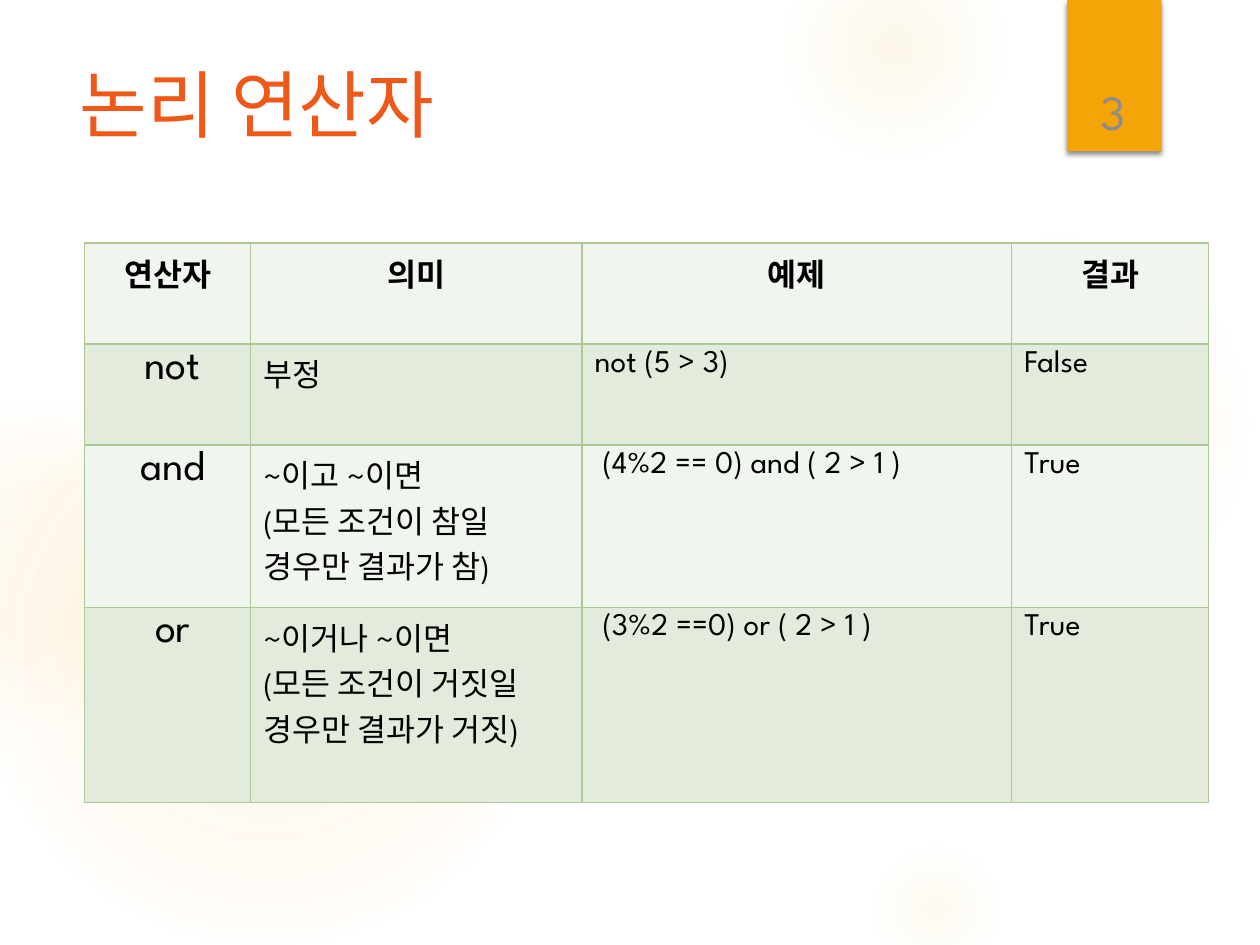
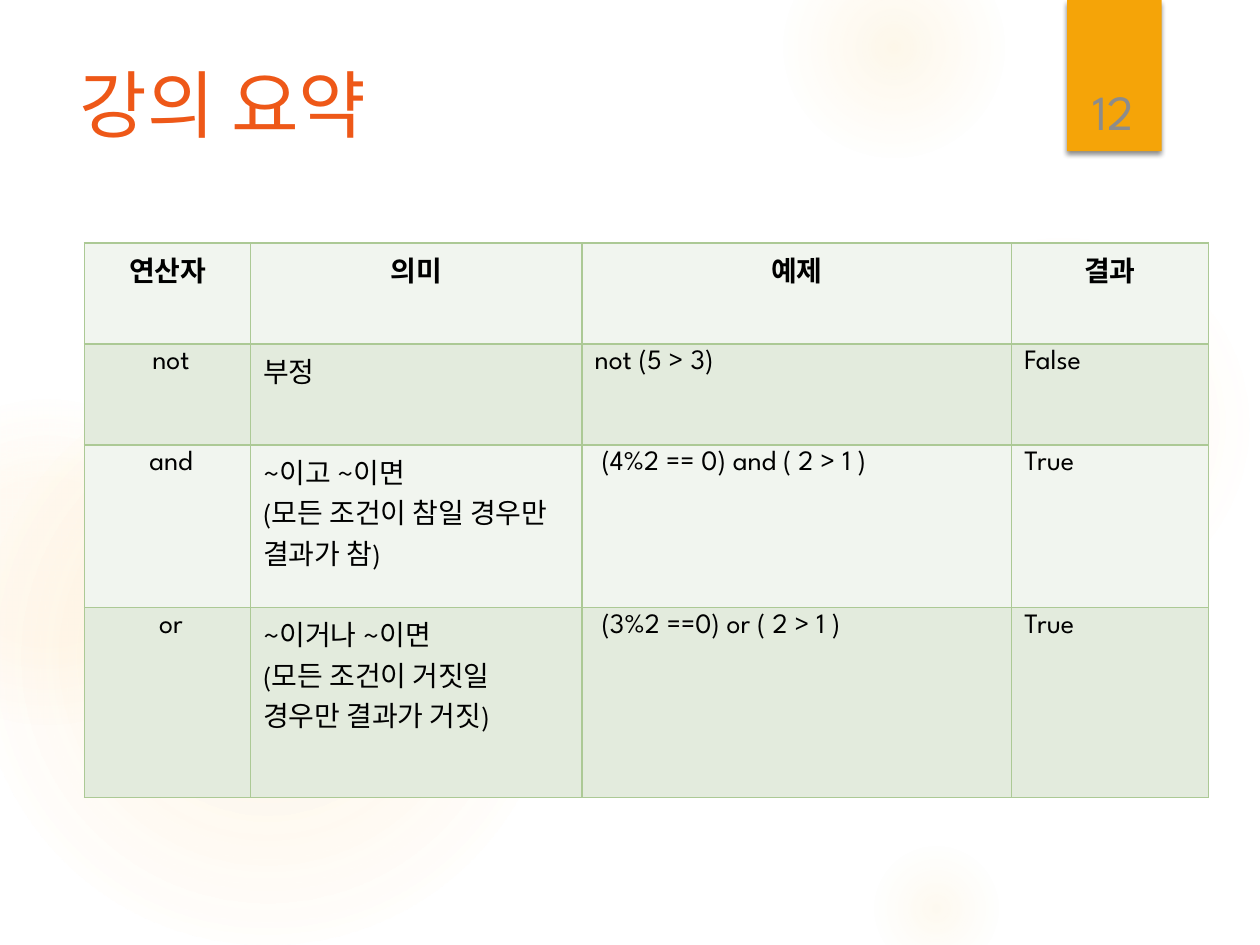
"""Build two slides that tabulate the logical operators."""
from dataclasses import dataclass

import lxml.etree
import pptx
import pptx.dml.color
import pptx.enum.shapes
import pptx.enum.text
import pptx.oxml
import pptx.oxml.ns
import pptx.util

PX = 9144
LATIN, KOREAN = "League Spartan", "Noto Sans CJK KR"
TITLE, NUMBER, TEXT = "EE5818", "8C8C8C", "000000"
BAND, GLOW, BORDER = "F5A408", "FAC96A", "ACC995"
ROW_FILLS = ("F1F5EF", "E3EBDD")
COLUMNS = (132, 263, 341, 156)
ROWS = (80, 80, 129)
CENTER = pptx.enum.text.PP_ALIGN.CENTER
LEFT = pptx.enum.text.PP_ALIGN.LEFT
CELLS = (
    ("연산자", "의미", "예제", "결과"),
    (" not", "부정", "not (5 > 3)", "False"),
    (" and", "~이고 ~이면\n(모든 조건이 참일 경우만 결과가 참)",
     " (4%2 == 0) and ( 2 > 1 )", "True"),
    (" or", "~이거나 ~이면\n(모든 조건이 거짓일 경우만 결과가 거짓)",
     " (3%2 ==0) or ( 2 > 1 )", "True"),
)


@dataclass(frozen=True)
class Glow:
    left: int
    top: int
    size: int
    stops: tuple[tuple[int, int], ...]


@dataclass(frozen=True)
class OperatorSlide:
    title: str
    number: str
    text_size: int
    operator_size: int
    last_row: int


GLOWS = (
    Glow(689, 183, 308, ((0, 7), (36, 6), (69, 0))),
    Glow(622, -50, 175, ((0, 14), (36, 7), (73, 0))),
    Glow(689, 667, 108, ((0, 10), (31, 5), (66, 0))),
    Glow(-17, 292, 458, ((0, 11), (36, 10), (75, 0))),
    Glow(-92, 317, 258, ((0, 8), (36, 8), (72, 0))),
)
SLIDES = (
    OperatorSlide("논리 연산자", "3", 18, 24, 155),
    OperatorSlide("강의 요약", "12", 16, 16, 151),
)


def px(*lengths: int) -> list[pptx.util.Emu]:
    return [pptx.util.Emu(n * PX) for n in lengths]


def rgb(color: str) -> pptx.dml.color.RGBColor:
    return pptx.dml.color.RGBColor.from_string(color)


def xml(body: str) -> lxml.etree.ElementBase:
    tag, rest = body[1:].split(" ", 1)
    return pptx.oxml.parse_xml(f"<{tag} {pptx.oxml.ns.nsdecls('a')} {rest}")


def add_run(p, text: str, size: int, color: str, font: str = LATIN, bold: bool = False) -> None:
    r = p.add_run()
    r.text = text
    r.font.size = pptx.util.Pt(size)
    r.font.bold = bold
    r.font.color.rgb = rgb(color)
    r.font.name = font
    r.font._element.append(xml(f'<a:ea typeface="{KOREAN}"/>'))


def add_plain_shape(s, kind: str, left: int, top: int, width: int, height: int):
    shape_type = pptx.enum.shapes.MSO_SHAPE[kind]
    sp = s.shapes.add_shape(shape_type, *px(left, top, width, height))
    sp.line.fill.background()
    sp.shadow.inherit = False
    return sp


def add_glow(s, glow: Glow) -> None:
    sp = add_plain_shape(s, "OVAL", glow.left, glow.top, glow.size, glow.size)
    stops = "".join(
        f'<a:gs pos="{pos * 1000}"><a:srgbClr val="{GLOW}">'
        f'<a:alpha val="{alpha * 1000}"/></a:srgbClr></a:gs>'
        for pos, alpha in glow.stops)
    gradient = xml(
        f'<a:gradFill rotWithShape="1"><a:gsLst>{stops}</a:gsLst><a:path path="circle">'
        '<a:fillToRect l="50000" t="50000" r="50000" b="50000"/></a:path></a:gradFill>')
    sp._element.spPr.insert(2, gradient)


def add_number_band(s, number: str) -> None:
    sp = add_plain_shape(s, "RECTANGLE", 847, 0, 75, 120)
    sp.fill.solid()
    sp.fill.fore_color.rgb = rgb(BAND)
    effects = sp._element.spPr.find(pptx.oxml.ns.qn("a:effectLst"))
    effects.append(xml(
        '<a:outerShdw blurRad="38100" dist="25400" dir="5400000" rotWithShape="0">'
        '<a:srgbClr val="000000"><a:alpha val="45000"/></a:srgbClr></a:outerShdw>'))
    tf = s.shapes.add_textbox(*px(849, 32, 69, 84)).text_frame
    tf.word_wrap = True
    tf.vertical_anchor = pptx.enum.text.MSO_ANCHOR.BOTTOM
    p = tf.paragraphs[0]
    p.alignment = CENTER
    add_run(p, number, 28, NUMBER)


def set_title(s, text: str) -> None:
    sp = s.shapes.title
    sp.left, sp.top, sp.width, sp.height = px(53, 50, 772, 153)
    tf = sp.text_frame
    tf.word_wrap = True
    tf.auto_size = pptx.enum.text.MSO_AUTO_SIZE.NONE
    tf.vertical_anchor = pptx.enum.text.MSO_ANCHOR.TOP
    p = tf.paragraphs[0]
    p.alignment = LEFT
    p.line_spacing = 0.9
    add_run(p, text, 42, TITLE, KOREAN)


def format_cell(cell, fill: str) -> None:
    tcPr = cell._tc.get_or_add_tcPr()
    for side in "LRTB":
        tcPr.append(xml(
            f'<a:ln{side} w="12700"><a:solidFill><a:srgbClr val="{BORDER}"/>'
            f'</a:solidFill></a:ln{side}>'))
    cell.fill.solid()
    cell.fill.fore_color.rgb = rgb(fill)


def add_operator_table(s, spec: OperatorSlide) -> None:
    heights = (*ROWS, spec.last_row)
    frame = s.shapes.add_table(
        len(heights), len(COLUMNS), *px(67, 193, sum(COLUMNS), sum(heights)))
    table = frame.table
    table.first_row = table.horz_banding = False
    for column, width in zip(table.columns, px(*COLUMNS)):
        column.width = width
    for i, (row, height) in enumerate(zip(table.rows, px(*heights))):
        row.height = height
        for j, (cell, text) in enumerate(zip(row.cells, CELLS[i])):
            format_cell(cell, ROW_FILLS[i % 2])
            header, operator = i == 0, i > 0 and j == 0
            size = spec.operator_size if operator else spec.text_size
            tf = cell.text_frame
            for k, line in enumerate(text.split("\n")):
                p = tf.add_paragraph() if k else tf.paragraphs[0]
                p.alignment = CENTER if header or operator else LEFT
                add_run(p, line, size, TEXT, bold=header)


def build_slide(prs, spec: OperatorSlide) -> None:
    s = prs.slides.add_slide(prs.slide_layouts.get_by_name("Title Only"))
    for glow in GLOWS:
        add_glow(s, glow)
    set_title(s, spec.title)
    add_operator_table(s, spec)
    add_number_band(s, spec.number)


def main() -> None:
    prs = pptx.Presentation()
    prs.slide_width, prs.slide_height = px(1000, 750)
    for spec in SLIDES:
        build_slide(prs, spec)
    prs.save("out.pptx")


if __name__ == "__main__":
    main()
